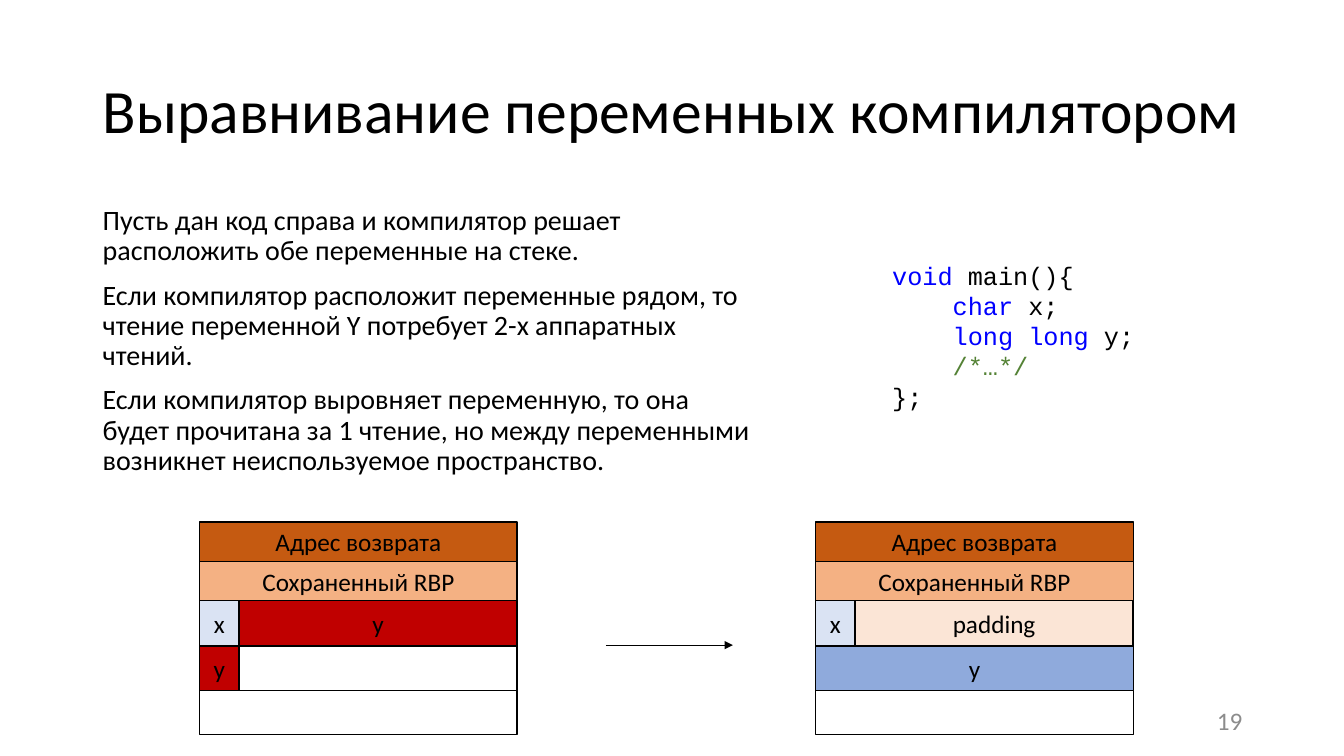
from dataclasses import dataclass

from lxml import etree
from pptx import Presentation
from pptx.dml.color import RGBColor
from pptx.enum.shapes import MSO_CONNECTOR, MSO_SHAPE
from pptx.enum.text import MSO_ANCHOR, MSO_AUTO_SIZE, PP_ALIGN
from pptx.oxml.ns import qn
from pptx.util import Pt

PX = 9144
TITLE_ONLY = 5
LEFT, CENTER, RIGHT = PP_ALIGN.LEFT, PP_ALIGN.CENTER, PP_ALIGN.RIGHT
TOP, MIDDLE = MSO_ANCHOR.TOP, MSO_ANCHOR.MIDDLE


@dataclass(frozen=True)
class Theme:
    font: str = "Calibri"
    code_font: str = "Courier New"
    title_size: int = 44
    body_size: int = 20
    small_size: int = 18
    black: str = "000000"
    white: str = "FFFFFF"
    gray: str = "8C8C8C"
    keyword: str = "0000FF"
    comment: str = "548235"
    return_address: str = "C55A11"
    saved_register: str = "F4B183"
    byte: str = "DAE3F3"
    split: str = "C00000"
    padding: str = "FBE5D6"
    aligned: str = "8FAADC"


THEME = Theme()

BODY = [
    "Пусть дан код справа и компилятор решает расположить обе переменные на стеке.",
    "Если компилятор расположит переменные рядом, то чтение переменной Y потребует 2-х аппаратных чтений.",
    "Если компилятор выровняет переменную, то она будет прочитана за 1 чтение, "
    "но между переменными возникнет неиспользуемое пространство.",
]

CODE = [
    (0, [("void", THEME.keyword), (" main(){", THEME.black)]),
    (1, [("char", THEME.keyword), (" x;", THEME.black)]),
    (1, [("long long", THEME.keyword), (" y;", THEME.black)]),
    (1, [("/*…*/", THEME.comment)]),
    (0, [("};", THEME.black)]),
]
CODE_INDENT = 60

BYTE_WIDTH = 39
HEADER_ROWS = [
    (39, [("Адрес возврата", THEME.return_address)]),
    (39, [("Сохраненный RBP", THEME.saved_register)]),
]
EMPTY_ROW = (44, [("", THEME.white)])
PACKED_ROWS = HEADER_ROWS + [
    (45, [("x", THEME.byte), ("y", THEME.split)]),
    (44, [("y", THEME.split), ("", THEME.white)]),
    EMPTY_ROW,
]
ALIGNED_ROWS = HEADER_ROWS + [
    (45, [("x", THEME.byte), ("padding", THEME.padding)]),
    (44, [("y", THEME.aligned)]),
    EMPTY_ROW,
]


def emu(*lengths):
    return [length * PX for length in lengths]


def style(paragraph, size, color=THEME.black, font=THEME.font, align=LEFT):
    paragraph.alignment = align
    paragraph.font.name = font
    paragraph.font.size = Pt(size)
    paragraph.font.color.rgb = RGBColor.from_string(color)


def add_text_frame(slide, box, anchor=TOP):
    frame = slide.shapes.add_textbox(*emu(*box)).text_frame
    frame.word_wrap = True
    frame.vertical_anchor = anchor
    return frame


def place_title(slide, box, text):
    title = slide.shapes.title
    title.left, title.top, title.width, title.height = emu(*box)
    frame = title.text_frame
    frame.text = text
    frame.auto_size = MSO_AUTO_SIZE.NONE
    frame.vertical_anchor = MIDDLE
    paragraph = frame.paragraphs[0]
    style(paragraph, THEME.title_size)
    paragraph.line_spacing = 0.9


def add_body(slide, box, texts):
    frame = add_text_frame(slide, box)
    frame.text = "\n".join(texts)
    for paragraph in frame.paragraphs:
        style(paragraph, THEME.body_size)
        paragraph.line_spacing = 0.9
        paragraph.space_before = Pt(10)


def add_code(slide, box, lines):
    frame = add_text_frame(slide, box)
    for index, (level, pieces) in enumerate(lines):
        paragraph = frame.add_paragraph() if index else frame.paragraphs[0]
        style(paragraph, THEME.small_size, font=THEME.code_font)
        paragraph._p.get_or_add_pPr().set("marL", str(level * CODE_INDENT * PX))
        for text, color in pieces:
            run = paragraph.add_run()
            run.text = text
            run.font.color.rgb = RGBColor.from_string(color)


def add_cell(slide, box, text, fill):
    cell = slide.shapes.add_shape(MSO_SHAPE.RECTANGLE, *emu(*box))
    cell.shadow.inherit = False
    cell.fill.solid()
    cell.fill.fore_color.rgb = RGBColor.from_string(fill)
    cell.line.color.rgb = RGBColor.from_string(THEME.black)
    cell.line.width = Pt(1)
    if text:
        frame = cell.text_frame
        frame.text = text
        frame.vertical_anchor = MIDDLE
        frame.margin_left = frame.margin_right = 0
        style(frame.paragraphs[0], THEME.small_size, align=CENTER)


def add_stack(slide, box, rows):
    left, top, width = box
    for height, cells in rows:
        widths = [width] if len(cells) == 1 else [BYTE_WIDTH, width - BYTE_WIDTH]
        cell_left = left
        for (text, fill), cell_width in zip(cells, widths):
            add_cell(slide, (cell_left, top, cell_width, height), text, fill)
            cell_left += cell_width
        top += height


def add_arrow(slide, start, end):
    arrow = slide.shapes.add_connector(MSO_CONNECTOR.STRAIGHT, *emu(*start, *end))
    arrow.line.color.rgb = RGBColor.from_string(THEME.black)
    arrow.line.width = Pt(0.5)
    etree.SubElement(arrow.line._get_or_add_ln(), qn("a:tailEnd"), type="triangle")
    etree.SubElement(arrow._element.spPr, qn("a:effectLst"))


def add_page_number(slide, box, number):
    frame = add_text_frame(slide, box, MIDDLE)
    frame.text = number
    style(frame.paragraphs[0], THEME.small_size, THEME.gray, align=RIGHT)


def main():
    presentation = Presentation()
    presentation.slide_width, presentation.slide_height = emu(1333, 750)
    slide = presentation.slides.add_slide(presentation.slide_layouts[TITLE_ONLY])
    place_title(slide, (92, 40, 1150, 145), "Выравнивание переменных компилятором")
    add_body(slide, (92, 200, 669, 476), BODY)
    add_page_number(slide, (942, 695, 300, 40), "19")
    add_code(slide, (875, 253, 299, 222), CODE)
    add_stack(slide, (198, 518, 315), PACKED_ROWS)
    add_stack(slide, (809, 518, 315), ALIGNED_ROWS)
    add_arrow(slide, (601, 640), (727, 640))
    presentation.save("out.pptx")


if __name__ == "__main__":
    main()
